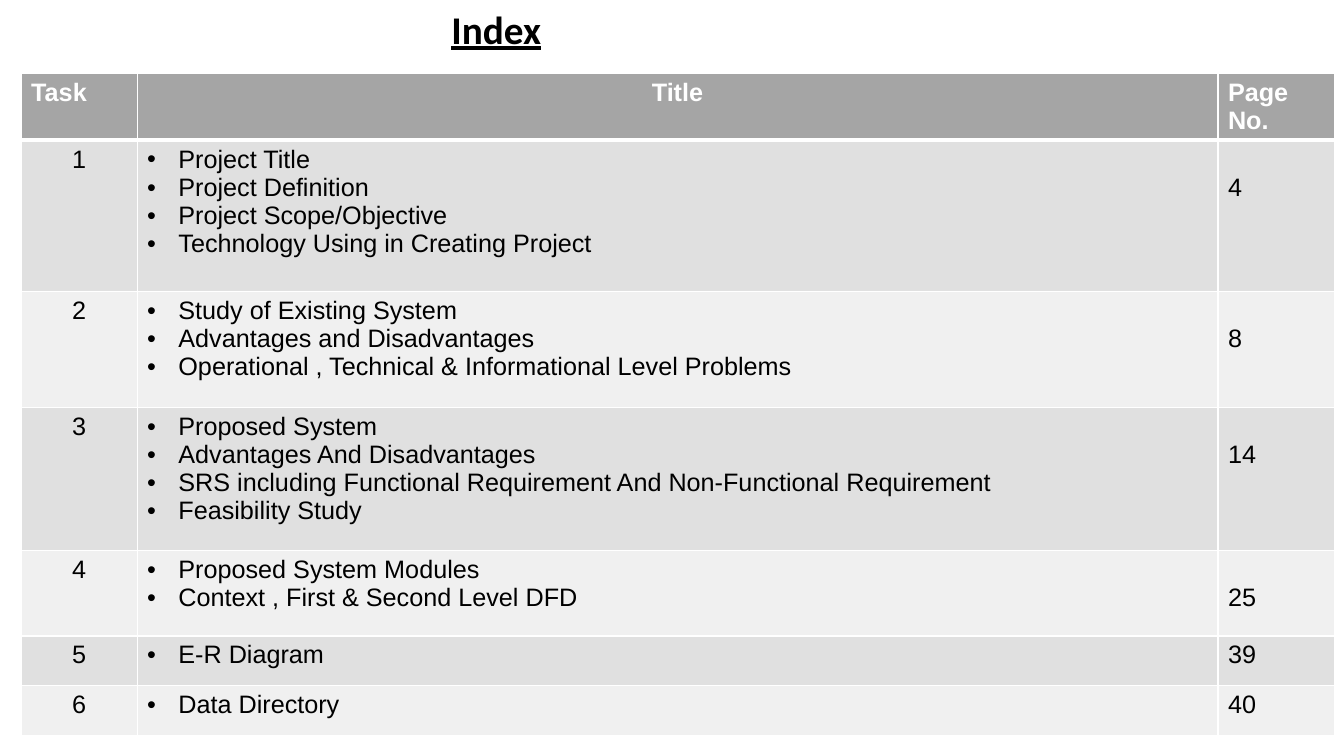
from lxml.etree import SubElement as Sub
from pptx import Presentation
from pptx.dml.color import RGBColor as RGB
from pptx.enum.text import PP_ALIGN as Align
from pptx.oxml.ns import qn
from pptx.util import Inches, Pt

WHITE = RGB(0xFF, 0xFF, 0xFF)
BLACK = RGB(0, 0, 0)
HEAD = RGB(0xA5, 0xA5, 0xA5)
BANDS = [RGB(0xE0, 0xE0, 0xE0), RGB(0xF0, 0xF0, 0xF0)]
LABELS = ["Task", "Title", "Page No."]
COLS = [1.15, 10.72, 1.16]
ROWS = [0.66, 1.5, 1.15, 1.42, 0.85, 0.49, 0.5]
LINE = 0.28
TASKS = [
    (["Project Title", "Project Definition", "Project Scope/Objective",
      "Technology Using in Creating Project"], 4),
    (["Study of Existing System", "Advantages and Disadvantages",
      "Operational , Technical & Informational Level Problems"], 8),
    (["Proposed System", "Advantages And Disadvantages",
      "SRS including Functional Requirement And Non-Functional Requirement",
      "Feasibility Study"], 14),
    (["Proposed System Modules", "Context , First & Second Level DFD"], 25),
    (["E-R Diagram"], 39),
    (["Data Directory"], 40),
]


def style(font, name, size, color, bold):
    """Set the look of a font."""
    font.name, font.size, font.bold = name, Pt(size), bold
    font.color.rgb = color


def border(cell, top, bottom):
    """Draw white lines round a cell, with widths in points."""
    props = cell._tc.get_or_add_tcPr()
    for side, width in zip("LRTB", (1, 1, top, bottom)):
        line = Sub(props, qn(f"a:ln{side}"), w=str(Pt(width)))
        Sub(Sub(line, qn("a:solidFill")), qn("a:srgbClr"), val=str(WHITE))


def bullet(para):
    """Give a paragraph a black bullet and a hanging indent."""
    props = para._p.get_or_add_pPr()
    props.set("marL", str(Inches(0.31)))
    props.set("indent", str(-Inches(0.31)))
    Sub(Sub(props, qn("a:buClr")), qn("a:srgbClr"), val=str(BLACK))
    Sub(props, qn("a:buFont"), typeface="Arial")
    Sub(props, qn("a:buChar"), char="•")


def fill_cell(cell, text, row, center=False, listed=False):
    """Write and colour one cell of the given row."""
    head = row == 0
    border(cell, 3 if row == 1 else 1, 3 if head else 1)
    cell.fill.solid()
    cell.fill.fore_color.rgb = HEAD if head else BANDS[(row - 1) % 2]
    cell.text_frame.text = text
    for para in cell.text_frame.paragraphs:
        if center:
            para.alignment = Align.CENTER
        if listed:
            bullet(para)
        for run in para.runs:
            style(run.font, "Arial", 18, WHITE if head else BLACK, head)


def add_title(slide, left, top, width, height):
    """Place the underlined heading."""
    box = slide.shapes.add_textbox(*map(Inches, (left, top, width, height)))
    box.text_frame.word_wrap = True
    box.text_frame.text = "Index"
    font = box.text_frame.paragraphs[0].runs[0].font
    style(font, "Calibri", 28, BLACK, True)
    font.underline = True


def add_index(slide, left, top):
    """Place the table of tasks with its corner at the given point."""
    box = map(Inches, (left, top, sum(COLS), sum(ROWS)))
    table = slide.shapes.add_table(len(ROWS), len(COLS), *box).table
    for col, width in zip(table.columns, COLS):
        col.width = Inches(width)
    for row, height in zip(table.rows, ROWS):
        row.height = Inches(height)
    for col, label in enumerate(LABELS):
        fill_cell(table.cell(0, col), label, 0, center=label == "Title")
    for row, (topics, page) in enumerate(TASKS, 1):
        task, title, number = table.rows[row].cells
        fill_cell(task, str(row), row, center=True)
        fill_cell(title, "\n".join(topics), row, listed=True)
        fill_cell(number, str(page), row)
        if len(topics) > 1:
            number.margin_top = Inches(0.05 + LINE)


def main():
    """Build and save the index slide."""
    deck = Presentation()
    deck.slide_width, deck.slide_height = Inches(13.33), Inches(7.5)
    slide = deck.slides.add_slide(deck.slide_layouts[6])
    add_index(slide, 0.21, 0.73)
    add_title(slide, 4.38, 0, 1.1, 0.57)
    deck.save("out.pptx")


if __name__ == "__main__":
    main()
